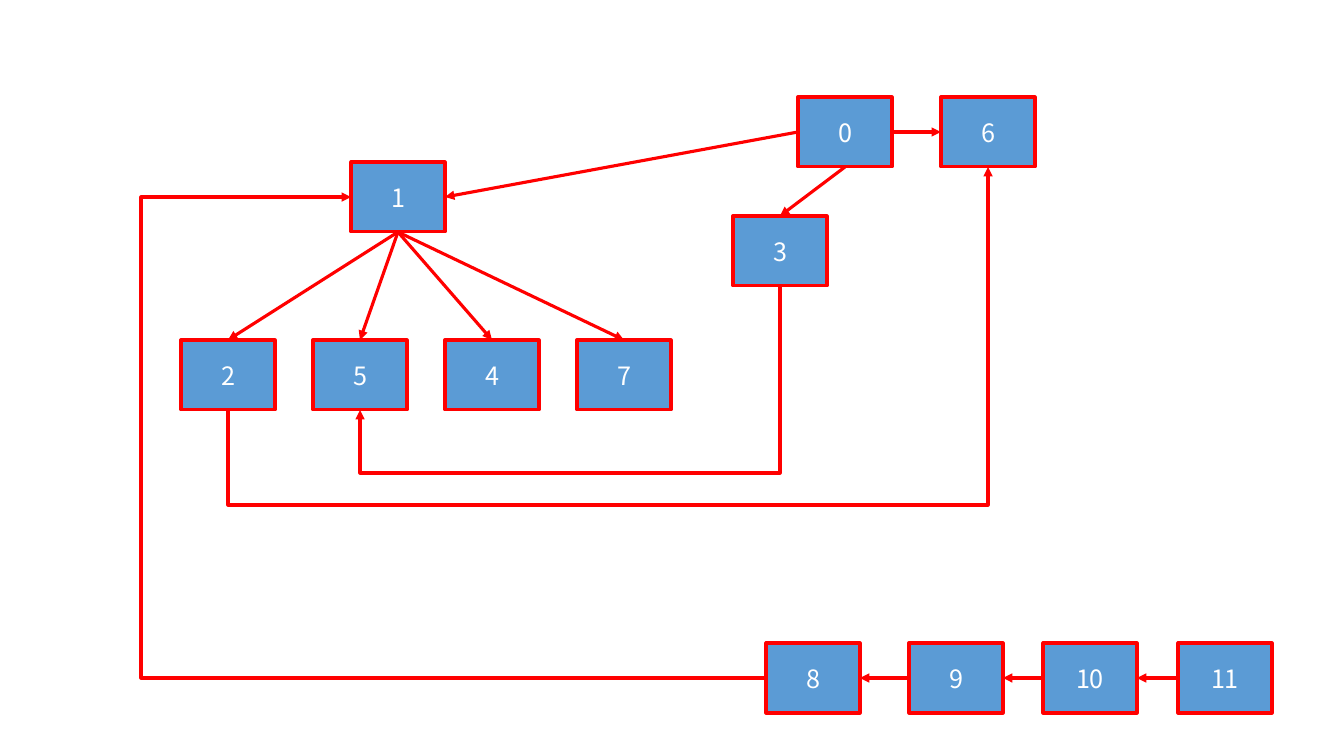
from dataclasses import dataclass

from lxml.etree import SubElement
from pptx import Presentation
from pptx.dml.color import RGBColor
from pptx.enum.shapes import MSO_CONNECTOR as Route, MSO_SHAPE as Preset
from pptx.enum.text import MSO_ANCHOR as Anchor, PP_ALIGN as Align
from pptx.oxml.ns import qn
from pptx.util import Pt

EMU_PER_PX = 914400 / 100.8
TOP, LEFT, BOTTOM, RIGHT = range(4)


@dataclass(frozen=True)
class Theme:
    node: RGBColor = RGBColor(0x5B, 0x9B, 0xD5)
    edge: RGBColor = RGBColor(0xFF, 0x00, 0x00)
    label: RGBColor = RGBColor(0xFF, 0xFF, 0xFF)
    font: str = "Noto Sans CJK SC"
    label_size: Pt = Pt(18)
    edge_width: Pt = Pt(2.25)


THEME = Theme()
NODE_SIZE = (94, 70)
CHILDREN = ("2", "5", "4", "7")
NODES = {
    "0": (798, 97),
    "6": (941, 97),
    "1": (351, 162),
    "3": (733, 216),
    **{child: (181 + 132 * i, 340) for i, child in enumerate(CHILDREN)},
    "8": (766, 643),
    "9": (909, 643),
    "10": (1043, 643),
    "11": (1178, 643),
}
STRAIGHT_EDGES = [
    *[("1", BOTTOM, child, TOP) for child in CHILDREN],
    ("0", RIGHT, "6", LEFT),
    ("0", LEFT, "1", RIGHT),
    ("0", BOTTOM, "3", TOP),
    ("11", LEFT, "10", RIGHT),
    ("10", LEFT, "9", RIGHT),
    ("9", LEFT, "8", RIGHT),
]
BENT_EDGES = [
    ("3", BOTTOM, "5", BOTTOM, 473),
    ("2", BOTTOM, "6", BOTTOM, 505),
    ("8", LEFT, "1", LEFT, 141),
]


def px(length):
    return round(length * EMU_PER_PX)


def apply(target, values):
    for name, value in values.items():
        setattr(target, name, value)


def style_line(line):
    line.color.rgb = THEME.edge
    line.width = THEME.edge_width


def add_node(slide, label, position):
    node = slide.shapes.add_shape(Preset.RECTANGLE, *map(px, position + NODE_SIZE))
    node.shadow.inherit = False
    node.fill.solid()
    node.fill.fore_color.rgb = THEME.node
    style_line(node.line)
    apply(node.text_frame, {"text": label, "vertical_anchor": Anchor.MIDDLE})
    paragraph = node.text_frame.paragraphs[0]
    paragraph.alignment = Align.CENTER
    font = paragraph.runs[0].font
    apply(font, {"name": THEME.font, "size": THEME.label_size})
    font.color.rgb = THEME.label
    return node


def add_edge(slide, route, source, source_side, target, target_side):
    edge = slide.shapes.add_connector(route, 0, 0, 0, 0)
    edge.begin_connect(source, source_side)
    edge.end_connect(target, target_side)
    style_line(edge.line)
    SubElement(edge.line._get_or_add_ln(), qn("a:tailEnd"), type="triangle")
    SubElement(edge._element.spPr, qn("a:effectLst"))
    return edge


def bend(edge, bend_at, vertical):
    start_x, start_y = edge.begin_x, edge.begin_y
    dx, dy = edge.end_x - start_x, edge.end_y - start_y
    if vertical:
        start, run, rise = start_y, dy, dx
        rotation, flip_h, flip_v = 90, dy < 0, dx > 0
    else:
        start, run, rise = start_x, dx, dy
        rotation, flip_h, flip_v = 180, dx > 0, dy > 0
    width, height = abs(run), abs(rise)
    apply(edge, {
        "left": round(start_x + dx / 2 - width / 2),
        "top": round(start_y + dy / 2 - height / 2),
        "width": width,
        "height": height,
    })
    properties = edge._element.spPr
    frame = properties.find(qn("a:xfrm"))
    frame.set("rot", str(rotation * 60000))
    frame.set("flipH", str(int(flip_h)))
    frame.set("flipV", str(int(flip_v)))
    adjustment = round((px(bend_at) - start) / run * 100000)
    guides = properties.find(qn("a:prstGeom")).find(qn("a:avLst"))
    SubElement(guides, qn("a:gd"), name="adj1", fmla=f"val {adjustment}")


def main():
    deck = Presentation()
    apply(deck, {"slide_width": px(1344), "slide_height": px(756)})
    slide = deck.slides.add_slide(deck.slide_layouts[6])
    nodes = {label: add_node(slide, label, spot) for label, spot in NODES.items()}
    for source, source_side, target, target_side in STRAIGHT_EDGES:
        add_edge(slide, Route.STRAIGHT, nodes[source], source_side,
                 nodes[target], target_side)
    for source, source_side, target, target_side, bend_at in BENT_EDGES:
        edge = add_edge(slide, Route.ELBOW, nodes[source], source_side,
                        nodes[target], target_side)
        bend(edge, bend_at, vertical=source_side == BOTTOM)
    deck.save("out.pptx")


main()
